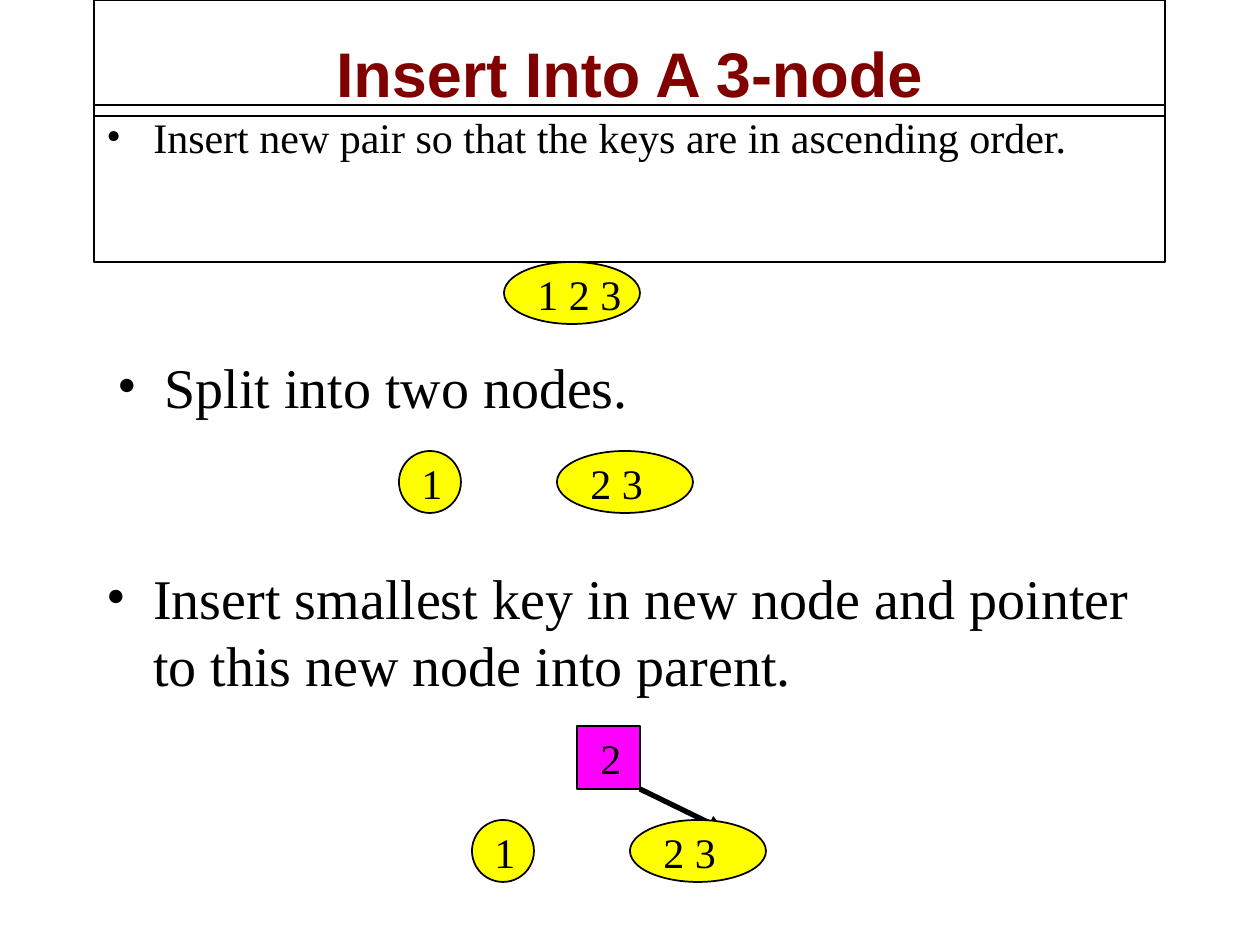
"""Build the slide on inserting a pair into a 3-node of a 2-3 tree."""
from lxml.etree import SubElement
from pptx import Presentation
from pptx.dml.color import RGBColor
from pptx.enum.shapes import MSO_CONNECTOR, MSO_SHAPE
from pptx.enum.text import MSO_ANCHOR, PP_ALIGN
from pptx.oxml.ns import qn
from pptx.util import Emu, Pt

BLACK = RGBColor(0x00, 0x00, 0x00)
MAROON = RGBColor(0x80, 0x00, 0x00)
YELLOW = RGBColor(0xFF, 0xFF, 0x00)
MAGENTA = RGBColor(0xFF, 0x00, 0xFF)
PX_PER_INCH = 126
NODE_HEIGHT = 62
WIDE_NODE = 136
LABEL_HEIGHT = 63


def px(length):
    """Turn a length in px into EMU."""
    return Emu(round(length * 914400 / PX_PER_INCH))


class SlideWriter:
    """Hold the text style and the current page, and draw its elements."""

    heading_font = "Arial"
    body_font = "Times New Roman"

    def __init__(self, page):
        """Start writing on a page."""
        self.page = page

    def text(self, shapes, left, top, width, height, wording, size):
        """Add a text box with one paragraph and return its parts."""
        box = shapes.add_textbox(px(left), px(top), px(width), px(height))
        frame = box.text_frame
        frame.word_wrap = True
        para = frame.paragraphs[0]
        span = para.add_run()
        span.text = wording
        span.font.name = self.body_font
        span.font.size = Pt(size)
        span.font.color.rgb = BLACK
        return box, para, span

    def outline(self, shape, width):
        """Give a shape a black outline."""
        shape.line.color.rgb = BLACK
        shape.line.width = Pt(width)

    def title(self, left, top, width, height, wording):
        """Add the framed slide title."""
        box, para, span = self.text(
            self.page.shapes, left, top, width, height, wording, 36)
        self.outline(box, 0.75)
        box.text_frame.vertical_anchor = MSO_ANCHOR.BOTTOM
        para.alignment = PP_ALIGN.CENTER
        span.font.name = self.heading_font
        span.font.bold = True
        span.font.color.rgb = MAROON

    def bullet(self, left, top, width, height, wording, size):
        """Add a bulleted statement with a hanging indent."""
        box, para, span = self.text(
            self.page.shapes, left, top, width, height, wording, size)
        properties = para._p.get_or_add_pPr()
        properties.set("marL", str(px(47)))
        properties.set("indent", str(-px(47)))
        SubElement(properties, qn("a:buFont")).set("typeface", self.body_font)
        SubElement(properties, qn("a:buChar")).set("char", "•")
        return box

    def group(self):
        """Add an empty group and return its shapes."""
        return self.page.shapes.add_group_shape().shapes

    def node(self, shapes, kind, left, top, width, height, color, keys, inset):
        """Add a tree node with its keys."""
        shape = shapes.add_shape(
            kind, px(left), px(top), px(width), px(height))
        shape.shadow.inherit = False
        shape.fill.solid()
        shape.fill.fore_color.rgb = color
        self.outline(shape, 1)
        label_width = width + 11 if width == WIDE_NODE else 53
        self.text(shapes, left + inset, top, label_width, LABEL_HEIGHT, keys, 24)

    def wide_node(self, shapes, left, top, keys):
        """Add an oval node holding several keys."""
        self.node(shapes, MSO_SHAPE.OVAL, left, top, WIDE_NODE, NODE_HEIGHT,
                  YELLOW, keys, 21)

    def split_nodes(self, shapes, left, top):
        """Add the two nodes that result from the split."""
        self.wide_node(shapes, left + 158, top, "2 3")
        self.node(shapes, MSO_SHAPE.OVAL, left, top, NODE_HEIGHT, NODE_HEIGHT,
                  YELLOW, "1", 10)

    def parent_node(self, shapes, left, top, keys):
        """Add the square node of the parent."""
        self.node(shapes, MSO_SHAPE.RECTANGLE, left, top, 63, 63,
                  MAGENTA, keys, 11)

    def arrow(self, shapes, start, end):
        """Add a pointer from a parent to a child."""
        line = shapes.add_connector(
            MSO_CONNECTOR.STRAIGHT, *map(px, start), *map(px, end))
        self.outline(line, 3)
        SubElement(line.line._get_or_add_ln(), qn("a:tailEnd")).set(
            "type", "triangle")
        SubElement(line._element.spPr, qn("a:effectLst"))


def main():
    """Write the deck."""
    deck = Presentation()
    deck.slide_width, deck.slide_height = px(1260), px(945)
    writer = SlideWriter(deck.slides.add_slide(deck.slide_layouts[6]))

    writer.title(94, 0, 1071, 116, "Insert Into A 3-node")
    order = writer.bullet(
        94, 105, 1071, 157,
        "Insert new pair so that the keys are in ascending order.", 24)
    writer.outline(order, 0.75)
    writer.bullet(105, 346, 1071, 95, "Split into two nodes.", 32)
    writer.split_nodes(writer.group(), 399, 451)
    writer.wide_node(writer.group(), 504, 262, "1 2 3")
    writer.bullet(
        94, 557, 1071, 95,
        "Insert smallest key in new node and pointer to this new node "
        "into parent.", 32)

    tree = writer.group()
    writer.parent_node(tree, 577, 726, "2")
    writer.arrow(tree, (640, 789), (724, 830))
    writer.split_nodes(tree, 472, 820)
    deck.save("out.pptx")


if __name__ == "__main__":
    main()
